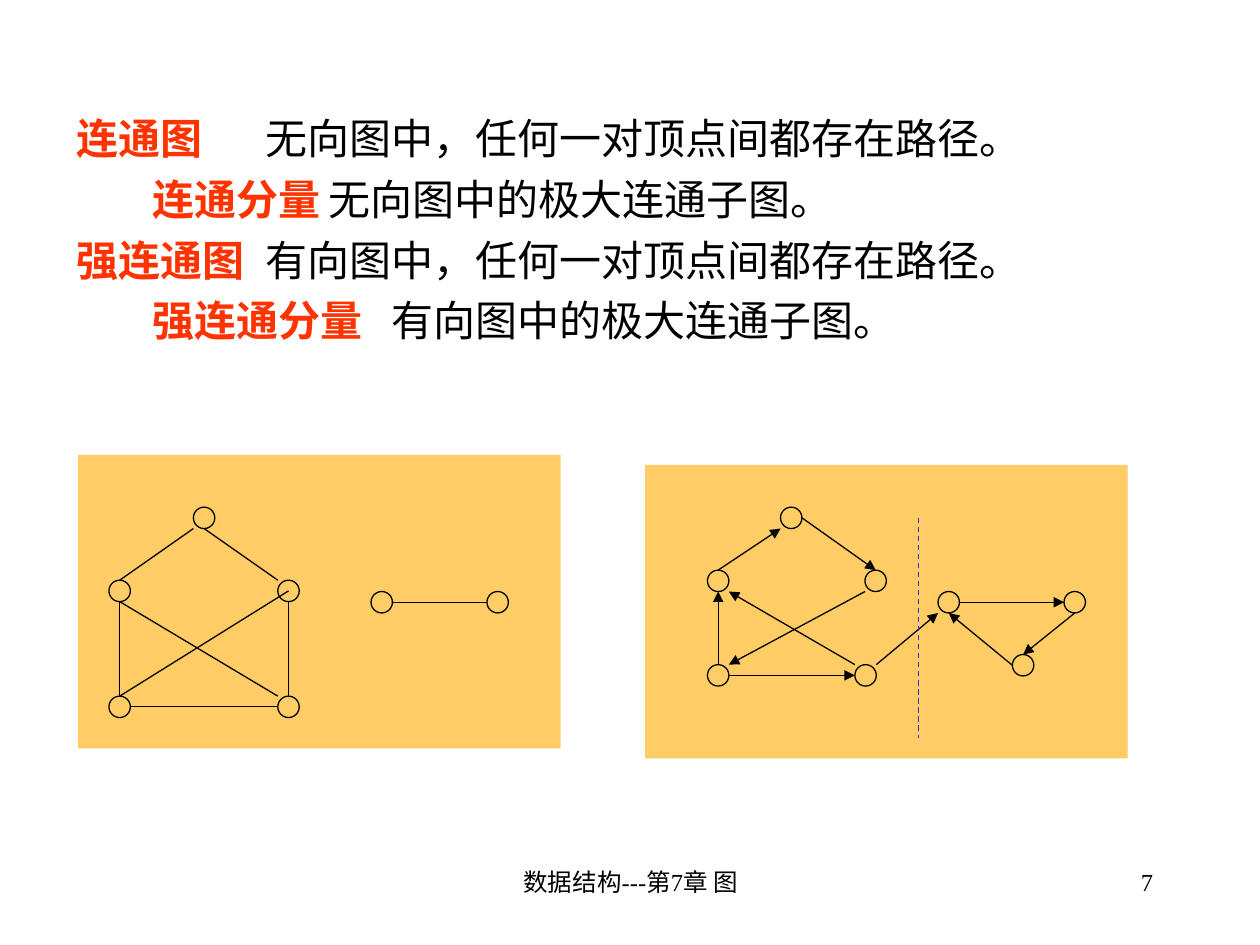
from lxml import etree
from pptx import Presentation
from pptx import util as u
from pptx.dml.color import RGBColor
from pptx.enum import dml, shapes, text
from pptx.oxml.ns import qn

BLACK = RGBColor(0, 0, 0)
RED = RGBColor(0xFF, 0x33, 0)
AMBER = RGBColor(0xFF, 0xCC, 0x66)
BLUE = RGBColor(0x33, 0x33, 0xCC)
FONT = "Times New Roman"
DIAMETER = 0.17
SIDES = {
    "C": (0, 0), "N": (0, -1), "S": (0, 1), "W": (-1, 0), "E": (1, 0),
    "NW": (-1, -1), "NE": (1, -1), "SW": (-1, 1), "SE": (1, 1),
}

deck = Presentation()
deck.slide_width, deck.slide_height = u.Inches(10), u.Inches(7.5)
slide = deck.slides.add_slide(deck.slide_layouts[1])
title = slide.shapes.title
title.element.getparent().remove(title.element)


def add_line(start, end, color=BLACK, arrow=False):
    line = slide.shapes.add_connector(
        shapes.MSO_CONNECTOR.STRAIGHT, *[u.Inches(v) for v in (*start, *end)])
    line.line.color.rgb = color
    line.line.width = u.Pt(0.75)
    if arrow:
        etree.SubElement(line.line._get_or_add_ln(), qn("a:tailEnd"), type="triangle")
    etree.SubElement(line._element.spPr, qn("a:effectLst"))
    return line


def port(node, side):
    return [c + d * DIAMETER / 2 for c, d in zip(nodes[node], SIDES[side])]


footers = [
    (3.42, 3.17, "数据结构---第7章 图", text.PP_ALIGN.CENTER),
    (7.17, 2.08, "7", text.PP_ALIGN.RIGHT),
]
for left, width, wording, align in footers:
    footer = slide.shapes.add_textbox(
        u.Inches(left), u.Inches(6.83), u.Inches(width), u.Inches(0.5))
    footer.text_frame.word_wrap = True
    paragraph = footer.text_frame.paragraphs[0]
    paragraph.text = wording
    paragraph.alignment = align
    paragraph.font.size = u.Pt(14)
    paragraph.font.name = FONT
    paragraph.font.color.rgb = BLACK

for left, top in [(5.12, 3.69), (0.62, 3.61)]:
    panel = slide.shapes.add_shape(
        shapes.MSO_SHAPE.RECTANGLE,
        u.Inches(left), u.Inches(top), u.Inches(3.83), u.Inches(2.33))
    panel.shadow.inherit = False
    panel.fill.solid()
    panel.fill.fore_color.rgb = AMBER
    panel.line.fill.background()

definitions = [
    (0, "连通图", "无向图中，任何一对顶点间都存在路径。"),
    (0.6, "连通分量", "无向图中的极大连通子图。"),
    (0, "强连通图", "有向图中，任何一对顶点间都存在路径。"),
    (0.6, "强连通分量", "有向图中的极大连通子图。"),
]
body = slide.placeholders[1]
body.left, body.top = u.Inches(0.51), u.Inches(0.84)
body.width, body.height = u.Inches(8.83), u.Inches(2.34)
frame = body.text_frame
for number, (indent, term, meaning) in enumerate(definitions):
    paragraph = frame.add_paragraph() if number else frame.paragraphs[0]
    paragraph.space_before = u.Pt(6 if number else 0)
    properties = paragraph._p.get_or_add_pPr()
    properties.set("marL", "0")
    properties.set("indent", str(u.Inches(indent)))
    etree.SubElement(properties, qn("a:buNone"))
    tabs = etree.SubElement(properties, qn("a:tabLst"))
    meaning_start = u.Inches(indent + len(term) * 24 / 72 + 0.25)
    etree.SubElement(tabs, qn("a:tab"), pos=str(meaning_start), algn="l")
    paragraph.font.size = u.Pt(24)
    paragraph.font.name = FONT
    for wording, color, bold in [(term + "\t", RED, True), (meaning, BLACK, False)]:
        run = paragraph.add_run()
        run.text = wording
        run.font.color.rgb = color
        run.font.bold = bold

nodes = {
    "A": (1.62, 4.11), "B": (0.95, 4.69), "C": (2.29, 4.69), "D": (0.95, 5.61),
    "E": (2.29, 5.61), "F": (3.03, 4.78), "G": (3.95, 4.78),
    "H": (6.28, 4.11), "I": (5.7, 4.61), "J": (6.95, 4.61), "K": (5.7, 5.36),
    "L": (6.87, 5.36), "M": (7.53, 4.78), "N": (8.53, 4.78), "O": (8.12, 5.28),
}
for x, y in nodes.values():
    vertex = slide.shapes.add_shape(
        shapes.MSO_SHAPE.OVAL,
        u.Inches(x - DIAMETER / 2), u.Inches(y - DIAMETER / 2),
        u.Inches(DIAMETER), u.Inches(DIAMETER))
    vertex.shadow.inherit = False
    vertex.fill.background()
    vertex.line.color.rgb = BLACK
    vertex.line.width = u.Pt(0.75)

undirected = [
    ("B", "N", "A", "SW"), ("B", "S", "D", "N"), ("A", "S", "C", "NW"),
    ("D", "E", "E", "W"), ("E", "N", "C", "S"), ("D", "N", "C", "C"),
    ("B", "S", "E", "NW"), ("F", "E", "G", "W"),
]
directed = [
    ("H", "E", "J", "N"), ("K", "N", "I", "S"), ("K", "E", "L", "W"),
    ("M", "E", "N", "W"), ("I", "N", "H", "SW"), ("N", "S", "O", "N"),
    ("O", "W", "M", "S"), ("J", "SW", "K", "NE"), ("L", "NW", "I", "SE"),
    ("L", "NE", "M", "SW"),
]
for edges, arrow in [(undirected, False), (directed, True)]:
    for source, exit_side, target, entry_side in edges:
        add_line(port(source, exit_side), port(target, entry_side), arrow=arrow)

divider = add_line((7.29, 4.11), (7.29, 5.86), BLUE)
divider.line.dash_style = dml.MSO_LINE.DASH

deck.save("out.pptx")
